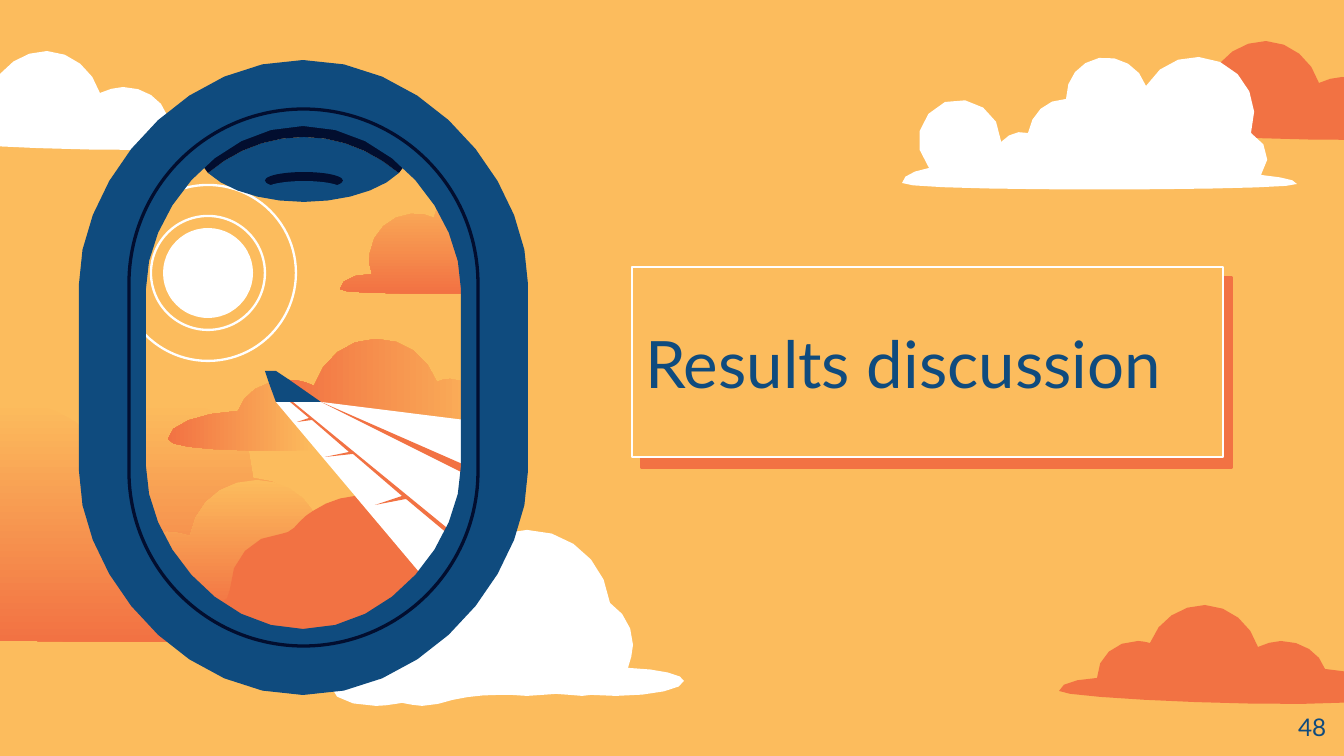
from math import dist, sqrt

from lxml import etree
from pptx import Presentation
from pptx.dml.color import RGBColor
from pptx.enum.shapes import MSO_SHAPE
from pptx.enum.text import MSO_ANCHOR, PP_ALIGN
from pptx.oxml import parse_xml
from pptx.oxml.ns import nsdecls
from pptx.util import Pt

EMU_PER_PX = 914400 / 134.4
SKY, ORANGE, WHITE = "FCBC5D", "F27243", "FFFFFF"
NAVY, INK = "0F4B7E", "020E2F"
DOWN, LEFTWARD = 270, 180

# Outlines in px: M starts a contour, L is followed by corners,
# C by triples of two control points and an end point.
HAZE = """M 501,603 C 513,590 520,571 520,552 519,513 488,481 449,480
    406,476 370,511 370,554 L 370,556 C 360,546 345,539 331,539
    L 319,540 C 316,505 286,480 253,478 L 253,477
    C 253,435 218,402 177,402 144,402 114,425 105,454 86,422 50,401 8,402
    -44,405 -87,446 -91,499 -93,513 -91,527 -87,540
    -103,548 -117,564 -117,585 -117,597 -112,607 -105,617
    -144,620 -171,626 -171,634 -171,644 550,646 550,629
    550,618 531,609 501,603"""
LOW_CLOUD = """M 527,530 C 487,530 452,559 445,599 438,595 430,594 422,594
    L 418,594 C 391,597 370,617 367,642 366,650 366,660 368,668
    347,669 331,677 331,687 331,698 351,706 376,706 386,706 395,704 402,703
    409,704 415,706 422,706 L 438,704 C 457,698 477,695 499,695
    L 511,695 527,696 542,695 556,694 570,695 582,696 591,695 616,696
    C 653,696 684,689 684,681
    684,675 660,669 628,668 630,661 633,653 633,645 633,628 624,612 610,603
    605,562 570,530 527,530"""
SMALL_CLOUD = """M 38,73 C 38,52 56,36 79,36 83,36 87,37 91,38
    99,15 122,0 146,0 171,1 192,19 199,42 206,39 214,36 222,36
    243,36 261,48 266,64 301,66 328,77 328,89 328,109 0,94 0,86
    0,79 16,74 38,73"""
HIGH_CLOUD = """M 929,168 C 910,146 918,113 945,102 972,93 1001,113 1001,141
    L 1001,142 C 1008,134 1019,130 1028,133 1031,114 1046,99 1066,99
    1066,78 1079,62 1099,58 1120,55 1140,67 1146,86
    1161,60 1192,50 1220,62 1247,74 1261,105 1251,133
    1267,141 1273,161 1261,175 1282,177 1297,180 1297,184
    1297,191 902,192 902,183 902,176 913,171 929,168"""
LEFT_CLOUD = """M 276,402 L 269,383 C 254,387 242,398 238,411
    199,413 168,425 168,439 168,449 237,452 316,450"""
RIGHT_CLOUD = """M 321,402 L 512,426 513,422 497,421
    C 497,398 476,379 450,379 445,379 441,380 437,382
    427,356 405,339 376,339 347,339 323,359 314,386 306,382 298,380 288,380"""
PALE_CLOUD = """M 230,589 C 230,560 253,535 281,534 286,534 290,531 294,528
    300,521 306,515 313,511 301,492 280,480 257,480 222,480 195,504 190,536
    183,534 175,532 167,532 155,534 144,539 136,548 149,573 165,594 183,613
    L 207,613 C 211,609 215,608 219,605 226,602 230,595 230,589"""
FAR_CLOUD = """M 411,214 C 390,215 372,233 370,253 368,261 370,267 372,274
    353,274 340,281 340,289 340,294 426,294 504,293 495,250 476,211 453,180
    444,190 437,203 434,218 427,215 419,212 411,214"""
NEAR_CLOUD = """M 355,496 C 340,497 325,503 313,511 306,515 300,521 294,528
    290,531 286,534 281,534 253,535 230,560 230,589 230,595 226,602 219,605
    L 207,613 195,624 C 227,650 265,665 305,665 358,665 405,640 441,598"""
WING = """M 276,402 L 441,598 C 453,585 464,571 472,554 484,531 492,511 499,491
    507,464 511,445 512,426 L 321,402"""
WING_SEAM = "M 321,402 L 499,491 501,481"
FLAP_SEAM = """M 290,402 L 309,418 297,422 312,420 349,452 325,457 353,454
    402,496 375,505 406,499 472,554 474,550 293,402"""
WING_TIP = "M 265,371 L 269,383 276,402 321,402 288,379 276,371"
SHADE = """M 304,137 C 267,137 234,151 208,173 226,190 262,202 304,202
    345,202 382,190 399,173 372,151 340,137 304,137"""
SHADE_EDGE = """M 304,102 C 245,102 198,125 198,152 198,159 202,167 208,173
    234,151 267,137 304,137 340,137 372,151 399,173 406,167 409,159 409,152
    409,125 362,102 304,102"""


def px(length):
    return round(length * EMU_PER_PX)


def color(hex_code):
    return RGBColor.from_string(hex_code)


def curve(start, control_1, control_2, end):
    """Points along a cubic Bézier curve, more for a longer one, without its start."""
    steps = max(1, round(sqrt(dist(start, end) / 4)))
    for step in range(1, steps + 1):
        t = step / steps
        weights = ((1 - t) ** 3, 3 * t * (1 - t) ** 2, 3 * t * t * (1 - t), t ** 3)
        yield tuple(sum(w * v for w, v in zip(weights, axis))
                    for axis in zip(start, control_1, control_2, end))


def contours(outline):
    for part in outline.split("M")[1:]:
        points, pending, command = [], [], "L"
        for token in part.split():
            if token in ("L", "C"):
                command = token
                continue
            pending.append(tuple(int(value) for value in token.split(",")))
            if command == "L":
                points += pending
                pending = []
            elif len(pending) == 3:
                points += curve(points[-1], *pending)
                pending = []
        yield points


def pill(left, top, width, height, end):
    """Outline of an upright slot whose round ends are `end` high."""
    right, bottom, middle = left + width, top + height, left + width // 2
    dx, dy = round(width * 0.22), round(end * 0.45)
    upper, lower = top + end, bottom - end
    return (f"M {middle},{top} C {right - dx},{top} {right},{upper - dy} {right},{upper} "
            f"L {right},{lower} C {right},{lower + dy} {right - dx},{bottom} {middle},{bottom} "
            f"{left + dx},{bottom} {left},{lower + dy} {left},{lower} "
            f"L {left},{upper} C {left},{upper - dy} {left + dx},{top} {middle},{top} ")


def paint(shape, fill=None, line=None, weight=1.25, gradient=None):
    """Fill with one colour, or from sky to orange along a gradient angle."""
    shape.shadow.inherit = False
    if gradient is not None:
        shape.fill.gradient()
        shape.fill.gradient_angle = gradient
        for stop, hex_code in zip(shape.fill.gradient_stops, (SKY, ORANGE)):
            stop.color.rgb = color(hex_code)
    elif fill:
        shape.fill.solid()
        shape.fill.fore_color.rgb = color(fill)
    else:
        shape.fill.background()
    if line:
        shape.line.color.rgb = color(line)
        shape.line.width = Pt(weight)
    else:
        shape.line.fill.background()


def add_outline(slide, outline, dx=0, dy=0, **style):
    builder = None
    for points in contours(outline):
        start, *rest = [(px(x + dx), px(y + dy)) for x, y in points]
        if builder is None:
            builder = slide.shapes.build_freeform(*start, scale=1.0)
        else:
            builder.move_to(*start)
        builder.add_line_segments(rest, close=True)
    paint(builder.convert_to_shape(), **style)


def add_preset(slide, kind, left, top, width, height, **style):
    shape = slide.shapes.add_shape(kind, px(left), px(top), px(width), px(height))
    paint(shape, **style)
    return shape


def add_circle(slide, center, radius, **style):
    x, y = center
    add_preset(slide, MSO_SHAPE.OVAL, x - radius, y - radius, 2 * radius, 2 * radius, **style)


def add_text(slide, text, left, top, width, height, size, align=PP_ALIGN.LEFT):
    frame = slide.shapes.add_textbox(px(left), px(top), px(width), px(height)).text_frame
    frame.word_wrap = True
    frame.vertical_anchor = MSO_ANCHOR.MIDDLE
    frame.margin_left = frame.margin_right = frame.margin_top = frame.margin_bottom = px(13)
    paragraph = frame.paragraphs[0]
    paragraph.alignment = align
    run = paragraph.add_run()
    run.text = text
    run.font.name, run.font.size = "Lato", Pt(size)
    run.font.color.rgb = color(NAVY)


def add_hard_shadow(shape, hex_code):
    effects = shape._element.spPr.find("{*}effectLst")
    shadow = parse_xml(f'<a:outerShdw {nsdecls("a")} dist="{Pt(7.5)}" dir="3000000" '
                       'algn="bl" rotWithShape="0"/>')
    etree.SubElement(shadow, shadow.tag.replace("outerShdw", "srgbClr"), val=hex_code)
    effects.append(shadow)


def add_sky(slide):
    add_outline(slide, HAZE, gradient=DOWN)
    add_outline(slide, LOW_CLOUD, fill=WHITE)
    add_outline(slide, SMALL_CLOUD, 1120, 41, fill=ORANGE)
    add_outline(slide, HIGH_CLOUD, fill=WHITE)
    add_outline(slide, SMALL_CLOUD, 1059, 605, fill=ORANGE)
    add_outline(slide, SMALL_CLOUD, -99, 51, fill=WHITE)


def add_view(slide):
    sun = (208, 273)
    for cloud in (LEFT_CLOUD, RIGHT_CLOUD):
        add_outline(slide, cloud, gradient=LEFTWARD)
    for radius in (57, 88):
        add_circle(slide, sun, radius, line=WHITE)
    add_circle(slide, sun, 45, fill=WHITE)
    for cloud in (PALE_CLOUD, FAR_CLOUD):
        add_outline(slide, cloud, gradient=DOWN)
    for outline, fill in ((NEAR_CLOUD, ORANGE), (WING, WHITE), (WING_SEAM, ORANGE),
                          (FLAP_SEAM, ORANGE), (WING_TIP, NAVY)):
        add_outline(slide, outline, fill=fill)


def add_window(slide):
    add_outline(slide, SHADE, fill=NAVY)
    add_outline(slide, SHADE_EDGE, fill=INK)
    # One ring from the outer rim to the opening
    add_outline(slide, pill(79, 60, 449, 635, 224) + pill(146, 126, 315, 503, 163), fill=NAVY)
    for top, fill in ((172, INK), (181, NAVY)):
        add_preset(slide, MSO_SHAPE.OVAL, 265, top, 78, 17, fill=fill)
    groove = add_preset(slide, MSO_SHAPE.ROUNDED_RECTANGLE, 129, 109, 349, 537,
                        line=INK, weight=1.75)
    groove.adjustments[0] = 0.5


def main():
    deck = Presentation()
    deck.slide_width, deck.slide_height = px(1344), px(756)
    slide = deck.slides.add_slide(deck.slide_layouts[6])
    slide.background.fill.solid()
    slide.background.fill.fore_color.rgb = color(SKY)
    add_sky(slide)
    title_panel = add_preset(slide, MSO_SHAPE.RECTANGLE, 632, 267, 591, 190,
                             fill=SKY, line=WHITE, weight=1.5)
    add_hard_shadow(title_panel, ORANGE)
    add_text(slide, "Results discussion", 632, 308, 638, 109, size=35)
    add_view(slide)
    add_window(slide)
    add_text(slide, "48", 1258, 698, 81, 58, size=13, align=PP_ALIGN.RIGHT)
    deck.save("out.pptx")


if __name__ == "__main__":
    main()
